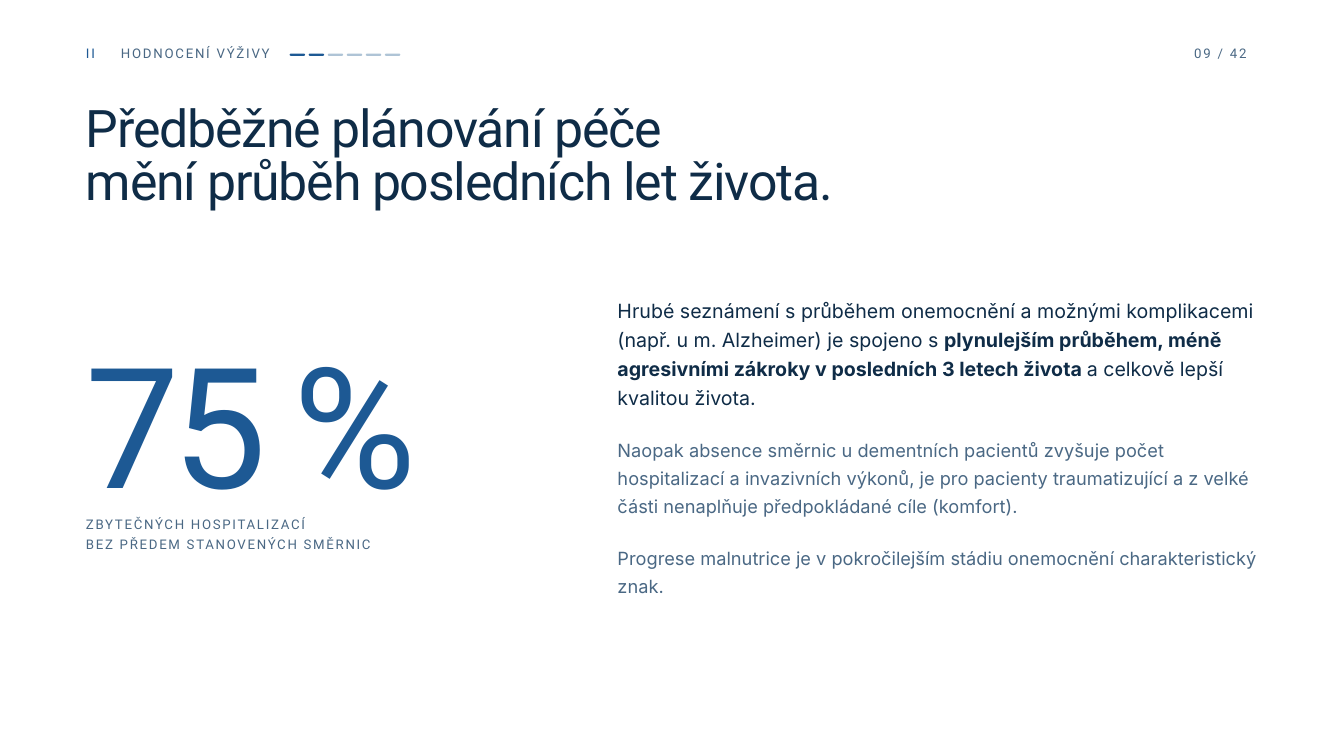
import dataclasses

import lxml.etree
import pptx
import pptx.dml.color
import pptx.enum.shapes
import pptx.enum.text
import pptx.oxml.ns
import pptx.util

Cm = pptx.util.Cm
Pt = pptx.util.Pt

COLORS = {
    "background": "FFFFFF",
    "accent": "1D5994",
    "ink": "0F2C47",
    "muted": "4A6884",
    "pending": "AFC4D6",
}
LEFT = 3.25
HEADER_TOP, HEADER_HEIGHT = 1.57, 0.94
SECTIONS, SECTIONS_REACHED = 6, 2
DASH_LEFT, DASH_TOP, DASH_PITCH = 10.95, 2.03, 0.72
DASH_WIDTH, DASH_HEIGHT = 0.58, 0.08


@dataclasses.dataclass(frozen=True)
class Style:
    size: float
    line: float
    color: str
    font: str = "Roboto"
    tracking: float = 0
    before: float = 0


@dataclasses.dataclass(frozen=True)
class Box:
    left: float
    top: float
    width: float
    height: float


@dataclasses.dataclass(frozen=True)
class Label:
    box: Box
    style: Style
    lines: tuple[str, ...]


@dataclasses.dataclass(frozen=True)
class Passage:
    style: Style
    phrases: tuple[str, ...]
    bold_phrase: int = -1


SECTION_NUMBER = Style(14.2, 21.5, "accent", tracking=1.9)
HEADER = Style(14.2, 21.5, "muted", tracking=1.9)
HEADLINE = Style(55.5, 56.7, "ink", tracking=-1.3)
FIGURE = Style(180, 152.9, "accent", tracking=-8.1)
CAPTION = Style(14.2, 21.2, "muted", tracking=1.85)
LEAD = Style(21, 31.1, "ink", "Inter")
DETAIL = Style(19.5, 30.1, "muted", "Inter", before=25)

HEADLINE_LABEL = Label(
    Box(LEFT, 3.96, 42.37, 4.14), HEADLINE,
    ("Předběžné plánování péče", "mění průběh posledních let života."),
)
LABELS = (
    Label(Box(LEFT, HEADER_TOP, 0.81, HEADER_HEIGHT), SECTION_NUMBER, ("II",)),
    Label(Box(4.57, HEADER_TOP, 5.94, HEADER_HEIGHT), HEADER, ("HODNOCENÍ VÝŽIVY",)),
    Label(Box(45.14, HEADER_TOP, 2.64, HEADER_HEIGHT), HEADER, ("09 / 42",)),
    Label(Box(LEFT, 14.35, 18.49, 4.29), FIGURE, ("75 %",)),
    Label(
        Box(LEFT, 19.38, 17.3, 1.5), CAPTION,
        ("ZBYTEČNÝCH HOSPITALIZACÍ", "BEZ PŘEDEM STANOVENÝCH SMĚRNIC"),
    ),
)
PASSAGES_BOX = Box(23.34, 11.1, 24.94, 11.61)
PASSAGES = (
    Passage(
        LEAD,
        (
            "Hrubé seznámení s průběhem onemocnění a možnými komplikacemi "
            "(např. u m. Alzheimer) je spojeno s ",
            "plynulejším průběhem, méně agresivními zákroky v posledních 3 letech života ",
            "a celkově lepší kvalitou života.",
        ),
        bold_phrase=1,
    ),
    Passage(
        DETAIL,
        (
            "Naopak absence směrnic u dementních pacientů zvyšuje počet "
            "hospitalizací a invazivních výkonů, je pro pacienty traumatizující "
            "a z velké části nenaplňuje předpokládané cíle (komfort).",
        ),
    ),
    Passage(
        DETAIL,
        (
            "Progrese malnutrice je v pokročilejším stádiu onemocnění "
            "charakteristický znak.",
        ),
    ),
)


def rgb(name: str) -> pptx.dml.color.RGBColor:
    return pptx.dml.color.RGBColor.from_string(COLORS[name])


def prepare_frame(shape, box: Box):
    shape.left, shape.top = Cm(box.left), Cm(box.top)
    shape.width, shape.height = Cm(box.width), Cm(box.height)
    frame = shape.text_frame
    frame.word_wrap = True
    frame.auto_size = pptx.enum.text.MSO_AUTO_SIZE.NONE
    frame.vertical_anchor = pptx.enum.text.MSO_ANCHOR.TOP
    frame.margin_left = frame.margin_right = 0
    frame.margin_top = frame.margin_bottom = 0
    return frame


def format_paragraph(paragraph, style: Style) -> None:
    paragraph.alignment = pptx.enum.text.PP_ALIGN.LEFT
    paragraph.line_spacing = Pt(style.line)
    paragraph.space_before = Pt(style.before)
    for run in paragraph.runs:
        run.font.name = style.font
        run.font.size = Pt(style.size)
        run.font.color.rgb = rgb(style.color)
        if style.tracking:
            run.font._element.set("spc", str(round(style.tracking * 100)))


def write_label(shape, label: Label) -> None:
    frame = prepare_frame(shape, label.box)
    frame.text = "\n".join(label.lines)
    for paragraph in frame.paragraphs:
        format_paragraph(paragraph, label.style)


def write_passages(shape) -> None:
    frame = prepare_frame(shape, PASSAGES_BOX)
    for position, passage in enumerate(PASSAGES):
        paragraph = frame.add_paragraph() if position else frame.paragraphs[0]
        properties = paragraph._p.get_or_add_pPr()
        properties.set("marL", "0")
        properties.set("indent", "0")
        lxml.etree.SubElement(properties, pptx.oxml.ns.qn("a:buNone"))
        for index, phrase in enumerate(passage.phrases):
            run = paragraph.add_run()
            run.text = phrase
            run.font.bold = index == passage.bold_phrase
        format_paragraph(paragraph, passage.style)


def draw_progress(slide) -> None:
    for section in range(SECTIONS):
        dash = slide.shapes.add_shape(
            pptx.enum.shapes.MSO_SHAPE.ROUNDED_RECTANGLE,
            Cm(DASH_LEFT + section * DASH_PITCH), Cm(DASH_TOP),
            Cm(DASH_WIDTH), Cm(DASH_HEIGHT),
        )
        dash.adjustments[0] = 0.5
        dash.shadow.inherit = False
        dash.fill.solid()
        dash.fill.fore_color.rgb = rgb("accent" if section < SECTIONS_REACHED else "pending")
        dash.line.fill.background()


def main() -> None:
    deck = pptx.Presentation()
    deck.slide_width, deck.slide_height = Cm(50.8), Cm(28.58)
    slide = deck.slides.add_slide(deck.slide_layouts[1])
    slide.background.fill.solid()
    slide.background.fill.fore_color.rgb = rgb("background")

    write_label(slide.shapes.title, HEADLINE_LABEL)
    write_passages(slide.placeholders[1])
    for label in LABELS:
        write_label(slide.shapes.add_textbox(0, 0, 0, 0), label)
    draw_progress(slide)
    deck.save("out.pptx")


if __name__ == "__main__":
    main()
